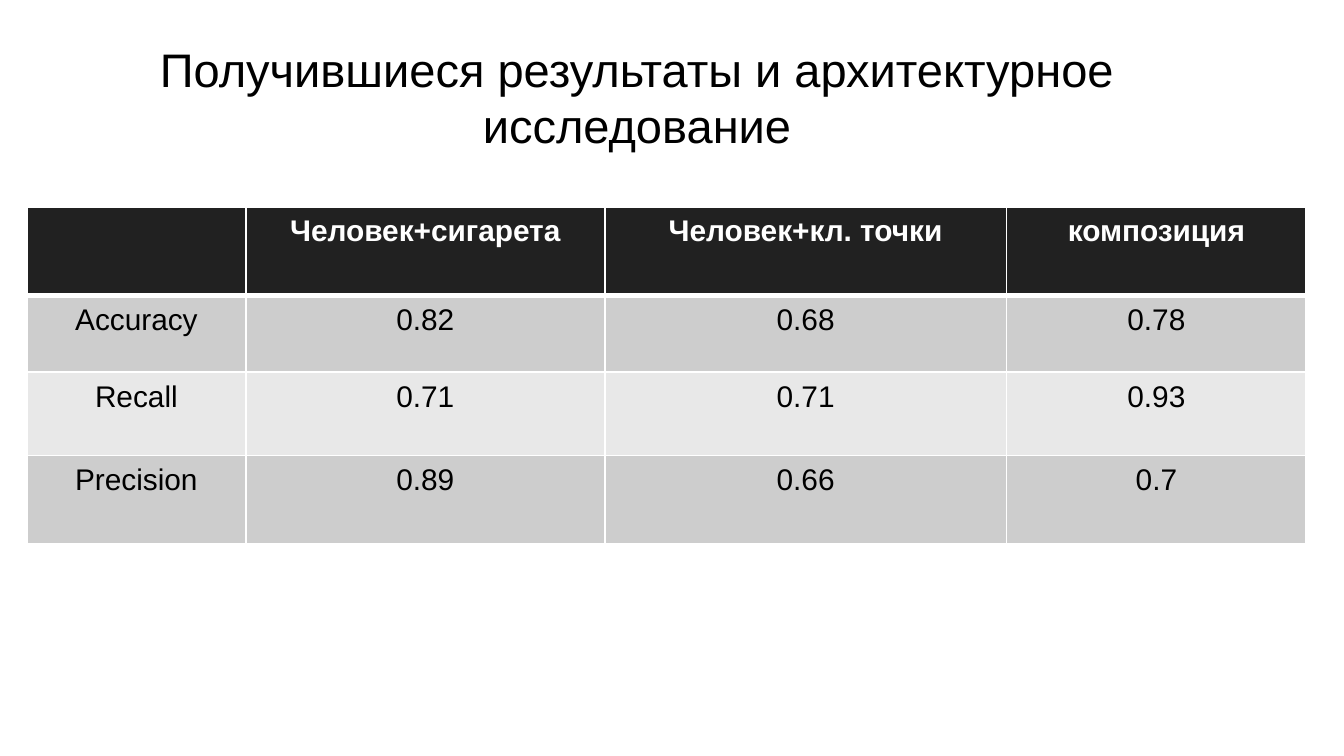
from lxml import etree
from pptx import Presentation
from pptx.dml.color import RGBColor
from pptx.enum.text import MSO_ANCHOR, MSO_AUTO_SIZE, PP_ALIGN
from pptx.oxml.ns import qn
from pptx.util import Inches, Pt

BLACK = RGBColor(0x00, 0x00, 0x00)
WHITE = RGBColor(0xFF, 0xFF, 0xFF)
HEADER_FILL = RGBColor(0x21, 0x21, 0x21)
BAND_FILLS = (RGBColor(0xCD, 0xCD, 0xCD), RGBColor(0xE8, 0xE8, 0xE8))

SLIDE_WIDTH = 10
SLIDE_HEIGHT = SLIDE_WIDTH * 9 / 16
COLUMN_WIDTHS = (1.63, 2.67, 2.99, 2.23)
ROW_HEIGHTS = (0.66, 0.57, 0.62, 0.66)
RESULTS = (
    ("", "Человек+сигарета", "Человек+кл. точки", "композиция"),
    ("Accuracy", "0.82", "0.68", "0.78"),
    ("Recall", "0.71", "0.71", "0.93"),
    ("Precision", "0.89", "0.66", "0.7"),
)


def write(frame, text, size=16, color=BLACK, bold=False):
    paragraph = frame.paragraphs[0]
    paragraph.alignment = PP_ALIGN.CENTER
    font = paragraph.font
    if text:
        run = paragraph.add_run()
        run.text = text
        font = run.font
    font.name = "Arial"
    font.size = Pt(size)
    font.bold = bold
    font.color.rgb = color


def set_borders(cell, bottom_width):
    properties = cell._tc.get_or_add_tcPr()
    widths = {"a:lnL": 1, "a:lnR": 1, "a:lnT": 1, "a:lnB": bottom_width}
    for position, (side, width) in enumerate(widths.items()):
        border = etree.Element(qn(side), w=str(Pt(width)))
        fill = etree.SubElement(border, qn("a:solidFill"))
        etree.SubElement(fill, qn("a:srgbClr"), val=str(WHITE))
        properties.insert(position, border)


def add_title(slide, left, top, width, height):
    title = slide.shapes.title
    title.left, title.top = Inches(left), Inches(top)
    title.width, title.height = Inches(width), Inches(height)
    frame = title.text_frame
    frame.word_wrap = True
    frame.auto_size = MSO_AUTO_SIZE.NONE
    frame.vertical_anchor = MSO_ANCHOR.TOP
    frame.margin_left = frame.margin_right = Inches(0.1)
    frame.margin_top = frame.margin_bottom = Inches(0.1)
    write(frame, "Получившиеся результаты и архитектурное исследование", size=25.2)
    frame.paragraphs[0].line_spacing = 1.0


def add_results(slide, left, top, width, height):
    table = slide.shapes.add_table(
        len(RESULTS), len(COLUMN_WIDTHS),
        Inches(left), Inches(top), Inches(width), Inches(height),
    ).table
    for column, share in zip(table.columns, COLUMN_WIDTHS):
        column.width = Inches(width * share / sum(COLUMN_WIDTHS))
    for row, share in zip(table.rows, ROW_HEIGHTS):
        row.height = Inches(height * share / sum(ROW_HEIGHTS))

    for row_index, values in enumerate(RESULTS):
        is_header = row_index == 0
        fill = HEADER_FILL if is_header else BAND_FILLS[(row_index - 1) % 2]
        for column_index, value in enumerate(values):
            cell = table.cell(row_index, column_index)
            cell.margin_left = cell.margin_right = Inches(0.12)
            cell.margin_top = cell.margin_bottom = Inches(0.06)
            cell.fill.solid()
            cell.fill.fore_color.rgb = fill
            set_borders(cell, bottom_width=3 if is_header else 1)
            write(cell.text_frame, value,
                  color=WHITE if is_header else BLACK, bold=is_header)


def main():
    deck = Presentation()
    deck.slide_width = Inches(SLIDE_WIDTH)
    deck.slide_height = Inches(SLIDE_HEIGHT)
    slide = deck.slides.add_slide(deck.slide_layouts[5])
    slide.background.fill.solid()
    slide.background.fill.fore_color.rgb = WHITE
    add_title(slide, 0.08, 0.2, 9.32, 0.63)
    add_results(slide, 0.2, 1.54, 9.52, 2.51)
    deck.save("out.pptx")


if __name__ == "__main__":
    main()
